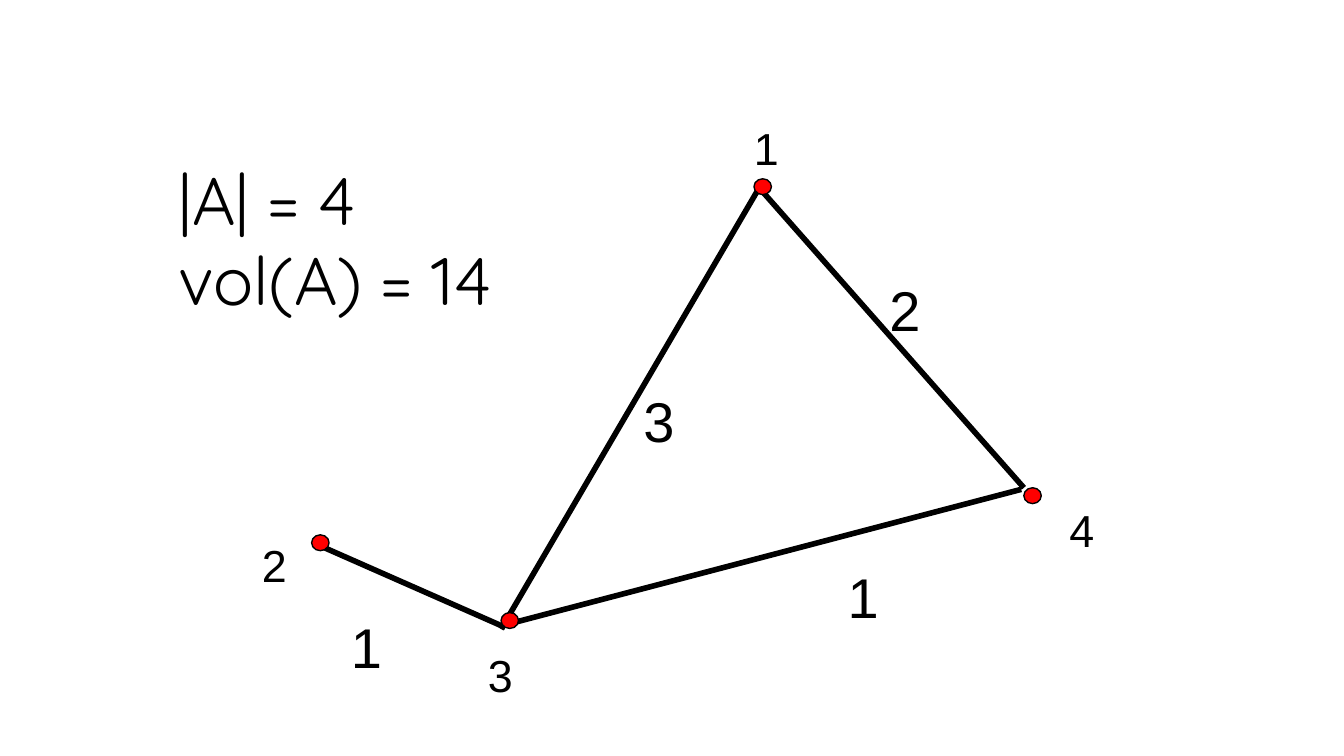
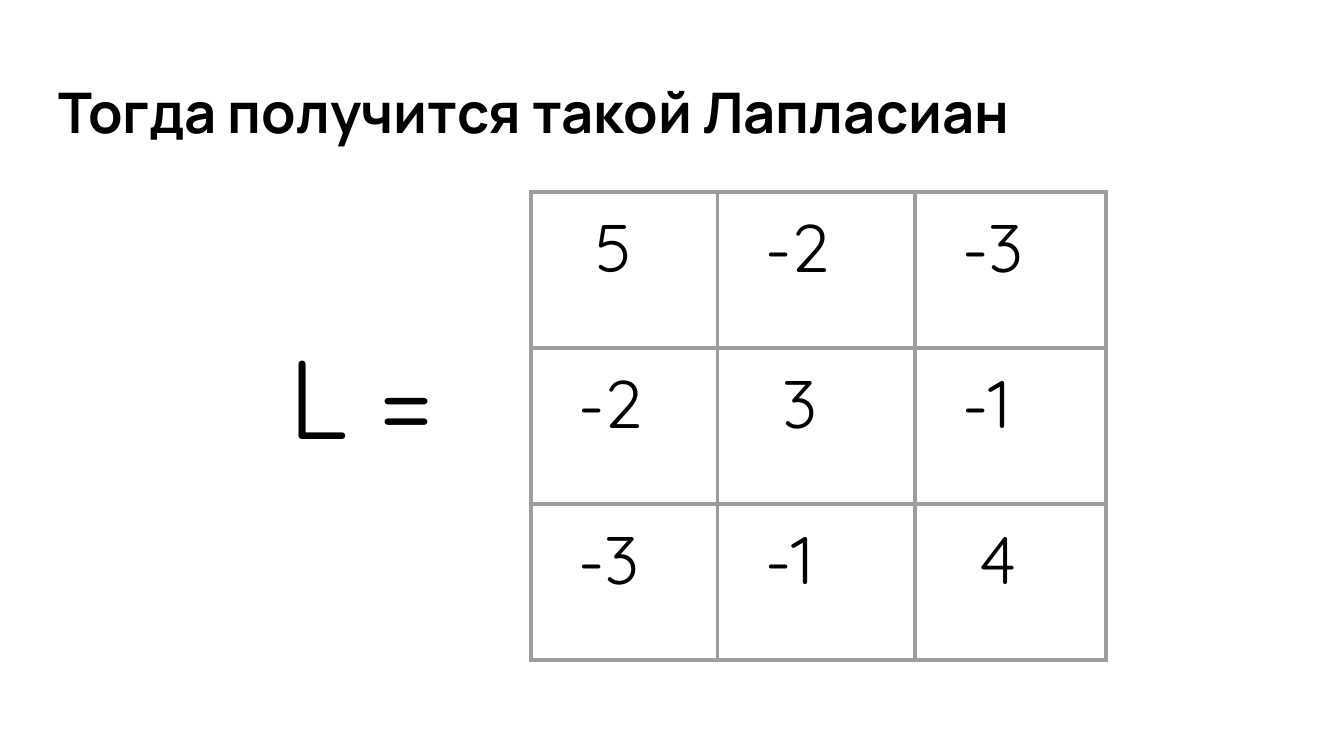
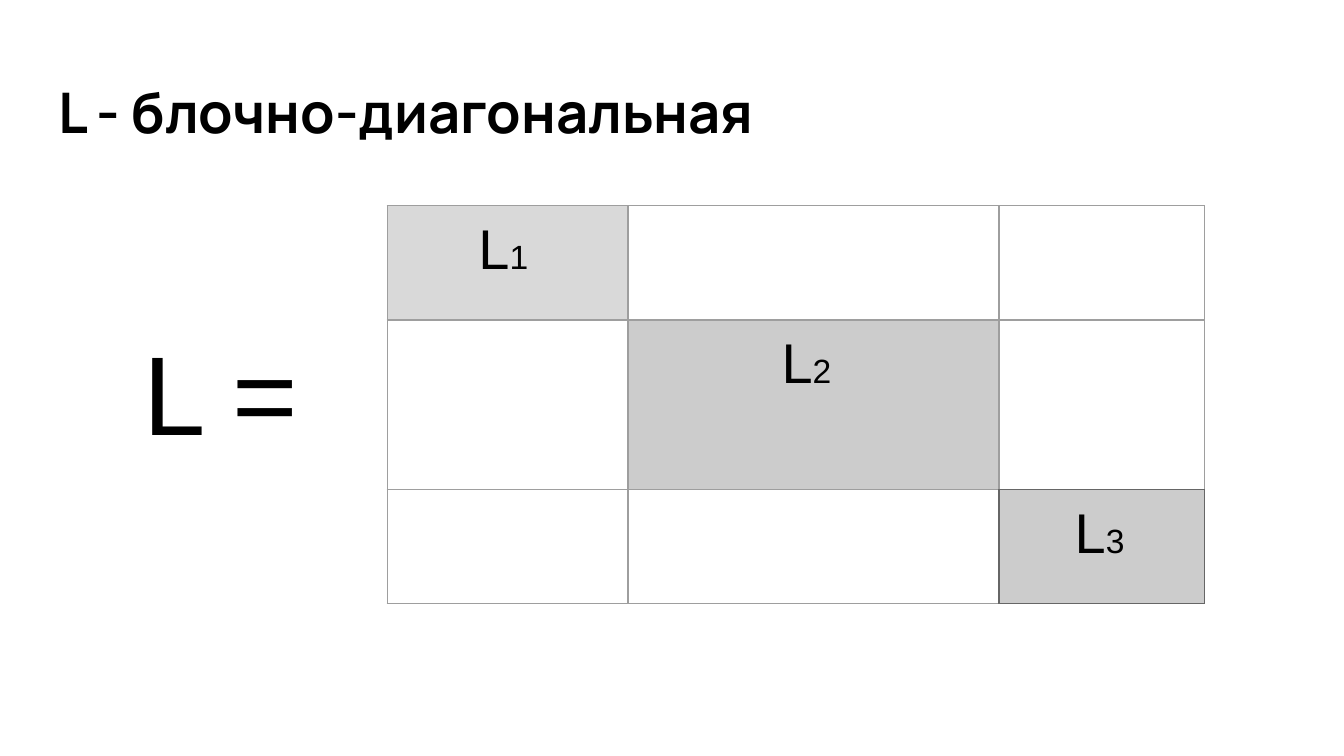
"""Build three slides on a weighted graph and its Laplacian matrix."""
from lxml.etree import SubElement
from pptx import Presentation
from pptx.dml.color import RGBColor
from pptx.enum.shapes import MSO_CONNECTOR as Link, MSO_SHAPE as Preset
from pptx.enum.text import MSO_ANCHOR as Anchor
from pptx.oxml.ns import qn
from pptx.util import Cm, Pt

COLORS = {"ink": "000000", "node": "FF0000", "grid": "9E9E9E", "dark_grid": "666666",
          "light_block": "D9D9D9", "block": "CCCCCC"}
INSETS = {f"margin_{side}": Cm(0.25) for side in ("left", "top", "right", "bottom")}


def write_run(paragraph, text, size, font, bold=False):
    run = paragraph.add_run()
    run.text = text
    for key, value in {"size": Pt(size), "name": font, "bold": bold}.items():
        setattr(run.font, key, value)
    run.font.color.rgb = RGBColor.from_string(COLORS["ink"])


def write_box(slide, box, lines, size, font, bold=False, anchor=Anchor.TOP):
    frame = slide.shapes.add_textbox(*map(Cm, box)).text_frame
    for key, value in {**INSETS, "word_wrap": True, "vertical_anchor": anchor}.items():
        setattr(frame, key, value)
    for i, line in enumerate(lines):
        paragraph = frame.add_paragraph() if i else frame.paragraphs[0]
        write_run(paragraph, line, size, font, bold)


deck = Presentation()
deck.slide_width, deck.slide_height = Cm(25.4), Cm(14.29)
blank = deck.slide_layouts[6]

graph = deck.slides.add_slide(blank)
edges = [(5.92, 10.26, 9.55, 11.86), (14.33, 3.58, 9.47, 11.89),
         (14.33, 3.53, 19.35, 9.22), (9.55, 11.81, 19.3, 9.25)]
for ends in edges:
    edge = graph.shapes.add_connector(Link.STRAIGHT, *map(Cm, ends))
    edge.line.color.rgb = RGBColor.from_string(COLORS["ink"])
    edge.line.width = Pt(3)
    SubElement(edge._element.spPr, qn("a:effectLst"))

nodes = [("1", (14.25, 3.38), (14, 2.03)), ("4", (19.35, 9.22), (19.96, 9.25)),
         ("2", (5.89, 10.11), (4.7, 9.91)), ("3", (9.47, 11.58), (8.97, 11.99))]
for number, corner, label_corner in nodes:
    node = graph.shapes.add_shape(Preset.OVAL, *map(Cm, (*corner, 0.33, 0.3)))
    node.shadow.inherit = False
    node.fill.solid()
    node.fill.fore_color.rgb = RGBColor.from_string(COLORS["node"])
    node.line.color.rgb = RGBColor.from_string(COLORS["ink"])
    node.line.width = Pt(0.75)
    write_box(graph, (*label_corner, 0.84, 0.71), [number], 24, "Arial")

weights = [("1", 6.38, 11.33), ("3", 11.91, 7.06), ("2", 16.56, 4.95), ("1", 15.77, 10.39)]
for weight, left, top in weights:
    write_box(graph, (left, top, 2.11, 1.35), [weight], 30, "Arial")
write_box(graph, (3.12, 2.74, 7.42, 4.09), ["|A| = 4", "vol(A) = 14"], 36, "Quicksand")

matrices = [
    {"title": "Тогда получится такой Лапласиан", "font": "Quicksand", "size": 36,
     "name_box": (5.21, 5.94, 5.46, 4.24), "corner": (10.03, 3.63), "border": 2.25,
     "columns": (3.53, 3.73, 3.61), "rows": (2.95, 2.95, 2.95),
     "cells": {(r, c): (value, "", 0.65 if value.startswith("-") else 0.97, None)
               for r, row in enumerate((("5", "-2", "-3"), ("-2", "3", "-1"), ("-3", "-1", "4")))
               for c, value in enumerate(row)},
     "dark_edges": {}},
    {"title": "L - блочно-диагональная", "font": "Arial", "size": 30,
     "name_box": (2.46, 5.87, 3.58, 3.56), "corner": (7.32, 3.89), "border": 0.75,
     "columns": (4.55, 7.01, 3.89), "rows": (2.16, 3.2, 2.16),
     "cells": {(0, 0): ("L", "1", 1.47, "light_block"),
               (1, 1): ("L", "2", 2.65, "block"),
               (2, 2): ("L", "3", 1.18, "block")},
     "dark_edges": {(1, 2): "B", (2, 1): "R", (2, 2): "LRTB"}},
]
for matrix in matrices:
    slide = deck.slides.add_slide(blank)
    write_box(slide, (0.86, 1.24, 23.67, 1.73), [matrix["title"]], 30, "Manrope", True, Anchor.MIDDLE)
    widths, heights = matrix["columns"], matrix["rows"]
    area = (*matrix["corner"], sum(widths), sum(heights))
    grid = slide.shapes.add_table(len(heights), len(widths), *map(Cm, area)).table
    grid.first_row = grid.horz_banding = False
    for column, width in zip(grid.columns, widths):
        column.width = Cm(width)
    for row, height in zip(grid.rows, heights):
        row.height = Cm(height)
    for r in range(len(heights)):
        for c in range(len(widths)):
            cell = grid.cell(r, c)
            base, subscript, indent, fill = matrix["cells"].get((r, c), ("", "", 0, None))
            for key, value in {**INSETS, "margin_left": Cm(0.25 + indent)}.items():
                setattr(cell, key, value)
            for text, size in ((base, matrix["size"]), (subscript, 18)):
                if text:
                    write_run(cell.text_frame.paragraphs[0], text, size, matrix["font"])
            for side in "LRTB":
                tone = "dark_grid" if side in matrix["dark_edges"].get((r, c), "") else "grid"
                border = SubElement(cell._tc.get_or_add_tcPr(), qn(f"a:ln{side}"),
                                    w=str(Pt(matrix["border"])))
                SubElement(SubElement(border, qn("a:solidFill")), qn("a:srgbClr"), val=COLORS[tone])
            if fill:
                cell.fill.solid()
                cell.fill.fore_color.rgb = RGBColor.from_string(COLORS[fill])
            else:
                cell.fill.background()
    write_box(slide, matrix["name_box"], ["L ="], 60, matrix["font"])

deck.save("out.pptx")
